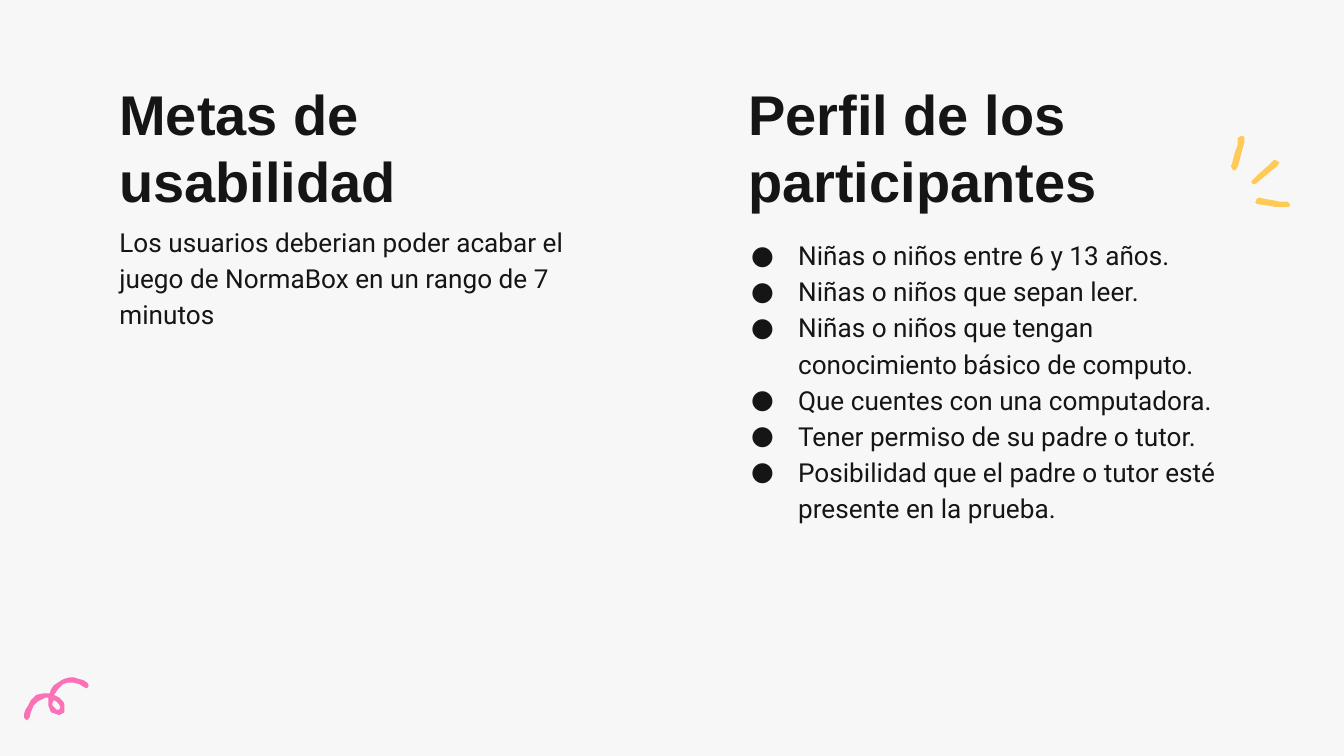
from lxml import etree
from pptx import Presentation
from pptx.dml.color import RGBColor
from pptx.enum.text import MSO_ANCHOR
from pptx.oxml.ns import qn
from pptx.util import Inches, Pt

INK, YELLOW, PINK, PAPER = "151515", "FFCA56", "FA71B7", "F7F7F7"
TITLE = {"name": "Arial", "size": Pt(30), "bold": True}
BODY = {"name": "Roboto", "size": Pt(14), "bold": False}

RAYS = [
    [(952, 121), (949, 119), (948, 119), (944, 123), (936, 130), (931, 135),
     (932, 137), (934, 137), (940, 132), (946, 127), (950, 124)],
    [(926, 102), (924, 101), (922, 102), (921, 103), (921, 108), (919, 113),
     (917, 121), (916, 124), (917, 126), (919, 127), (921, 124), (923, 117),
     (925, 109), (926, 106)],
    [(959, 154), (960, 152), (958, 150), (952, 150), (947, 149), (941, 148),
     (937, 147), (935, 148), (934, 151), (936, 152), (943, 153), (949, 154),
     (955, 154)],
]
CURL = [
    (55, 504), (52, 504), (48, 505), (46, 506), (43, 508), (40, 510),
    (38, 513), (37, 516), (34, 516), (32, 516), (27, 517), (23, 521),
    (21, 525), (19, 528), (18, 531), (18, 534), (20, 536), (22, 534),
    (23, 530), (25, 525), (28, 522), (32, 520), (34, 519), (36, 519),
    (36, 525), (38, 530), (41, 531), (44, 532), (48, 530), (48, 527),
    (48, 524), (47, 522), (44, 519), (40, 517), (41, 516), (43, 513),
    (45, 511), (47, 509), (50, 508), (55, 508), (59, 509), (62, 511),
    (64, 512), (65, 512), (66, 510), (65, 508), (62, 506), (58, 505),
]
CURL_HOLE = [(40, 521), (42, 522), (44, 524), (45, 526), (44, 528), (42, 528),
             (41, 527), (39, 525), (39, 523)]

PROFILE = [
    "Niñas o niños entre 6 y 13 años.",
    "Niñas o niños que sepan leer.",
    "Niñas o niños que tengan conocimiento básico de computo.",
    "Que cuentes con una computadora.",
    "Tener permiso de su padre o tutor.",
    "Posibilidad que el padre o tutor esté presente en la prueba.",
]


def color(value):
    return RGBColor.from_string(value)


class Deck:
    """Holds the style and the current slide and draws its elements."""

    def __init__(self, width, height, background):
        self.prs = Presentation()
        self.prs.slide_width, self.prs.slide_height = Inches(width), Inches(height)
        self.s = self.prs.slides.add_slide(self.prs.slide_layouts[6])
        fill = self.s.background.fill
        fill.solid()
        fill.fore_color.rgb = color(background)

    def outline(self, fill, *contours):
        (start, *rest), *holes = contours
        builder = self.s.shapes.build_freeform(*start, scale=Inches(0.01))
        builder.add_line_segments(rest)
        for first, *others in holes:
            builder.move_to(*first)
            builder.add_line_segments(others)
        sp = builder.convert_to_shape()
        sp.shadow.inherit = False
        sp.fill.solid()
        sp.fill.fore_color.rgb = color(fill)
        sp.line.fill.background()

    def text(self, box, lines, style, spacing, bullet=None):
        tf = self.s.shapes.add_textbox(*map(Inches, box)).text_frame
        tf.word_wrap, tf.vertical_anchor = True, MSO_ANCHOR.TOP
        for side in ("left", "top", "right", "bottom"):
            setattr(tf, f"margin_{side}", Inches(0.1))
        for i, line in enumerate(lines):
            p = tf.add_paragraph() if i else tf.paragraphs[0]
            p.line_spacing = spacing
            r = p.add_run()
            r.text = line
            r.font.color.rgb = color(INK)
            for key, value in style.items():
                setattr(r.font, key, value)
            if bullet:
                self.bullet(p, bullet, style["name"])

    def bullet(self, p, char, font):
        pPr = p._p.get_or_add_pPr()
        pPr.set("marL", str(Inches(0.5)))
        pPr.set("indent", str(Inches(-0.35)))
        clr = etree.SubElement(pPr, qn("a:buClr"))
        etree.SubElement(clr, qn("a:srgbClr"), val=INK)
        etree.SubElement(pPr, qn("a:buFont"), typeface=font)
        etree.SubElement(pPr, qn("a:buChar"), char=char)

    def save(self):
        self.prs.save("out.pptx")


def main():
    deck = Deck(10, 10 * 9 / 16, PAPER)
    deck.outline(PINK, CURL, CURL_HOLE)
    deck.text((0.79, 0.49, 3.9, 0.63), ["Metas de usabilidad"], TITLE, 1.0)
    goal = "Los usuarios deberian poder acabar el juego de NormaBox en un rango de 7 minutos"
    deck.text((0.79, 1.55, 3.9, 3.63), [goal], BODY, 1.15)
    for ray in RAYS:
        deck.outline(YELLOW, ray)
    deck.text((5.47, 0.49, 3.26, 0.63), ["Perfil de los participantes"], TITLE, 1.0)
    deck.text((5.34, 1.65, 3.9, 3.63), PROFILE, BODY, 1.15, bullet="●")
    deck.save()


if __name__ == "__main__":
    main()
